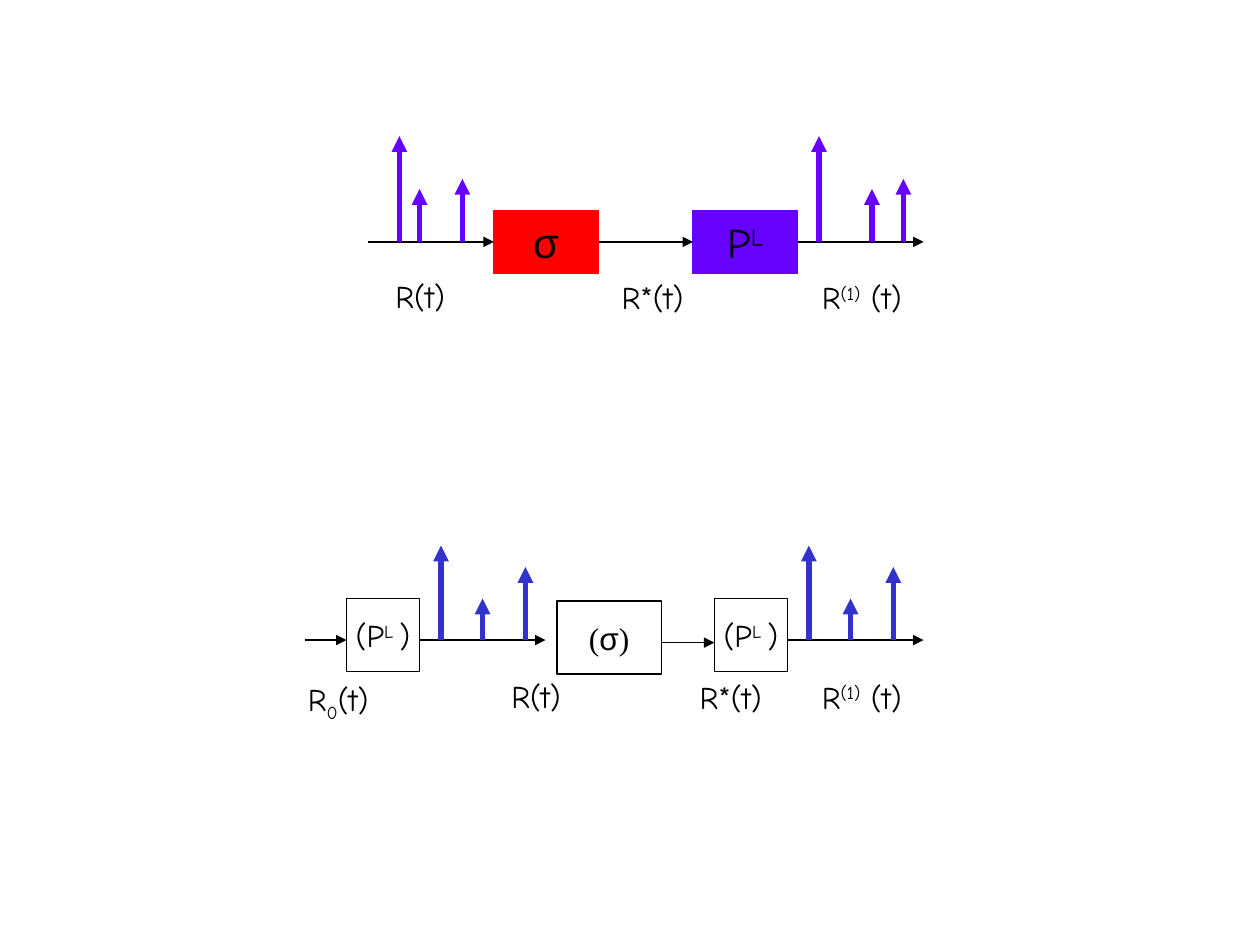
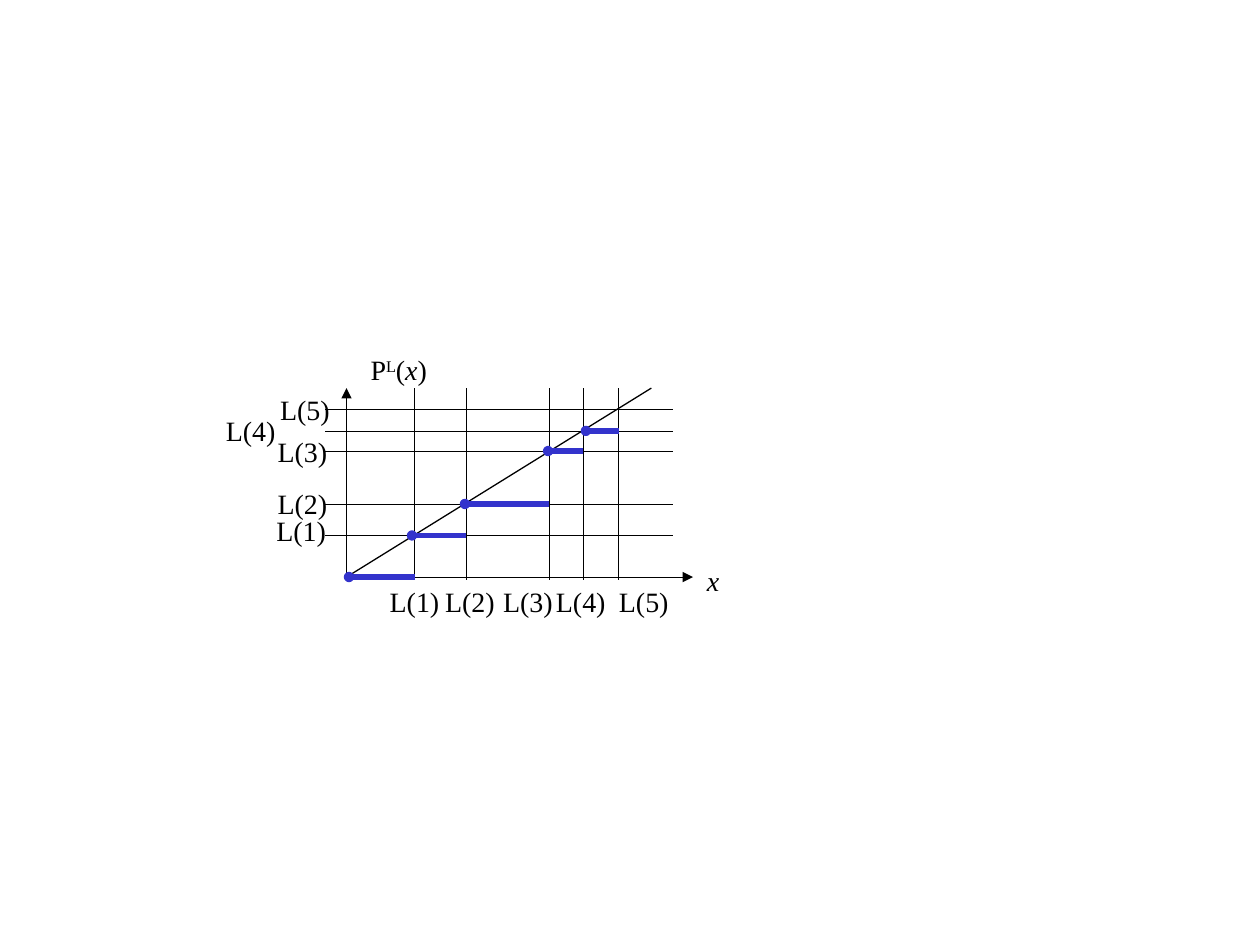
from dataclasses import dataclass
from itertools import pairwise
from typing import NamedTuple

from lxml import etree
from pptx import Presentation
from pptx.dml.color import RGBColor
from pptx.enum.dml import MSO_LINE
from pptx.enum.shapes import MSO_CONNECTOR, MSO_SHAPE
from pptx.enum.text import MSO_ANCHOR, MSO_AUTO_SIZE, PP_ALIGN
from pptx.oxml.ns import qn
from pptx.shapes.autoshape import Shape
from pptx.shapes.connector import Connector
from pptx.shapes.shapetree import GroupShapes, SlideShapes
from pptx.util import Inches, Pt

STRAIGHT = MSO_CONNECTOR.STRAIGHT
RECTANGLE = MSO_SHAPE.RECTANGLE
OVAL = MSO_SHAPE.OVAL
CENTER = PP_ALIGN.CENTER
TOP = MSO_ANCHOR.TOP
MIDDLE = MSO_ANCHOR.MIDDLE
FIT_TEXT = MSO_AUTO_SIZE.SHAPE_TO_FIT_TEXT
DOTTED = MSO_LINE.ROUND_DOT

BLACK, WHITE, RED = "000000", "FFFFFF", "FF0000"
VIOLET, BLUE = "6600FF", "3333CC"
HAND, SERIF, SANS = "Comic Neue", "Times New Roman", "Arial"
HAIRLINE, THIN, THICK = 0.25, 0.75, 3
LEFT_SIDE, RIGHT_SIDE = 1, 3
SUPERSCRIPT, SUBSCRIPT = 30000, -25000

Canvas = SlideShapes | GroupShapes
Point = tuple[float, float]


class Part(NamedTuple):
    text: str
    baseline: int = 0
    italic: bool = False
    font: str = ""


Formula = tuple[Part, ...]


@dataclass(frozen=True)
class Block:
    left: float
    top: float
    width: float
    height: float
    formula: Formula
    fill: str = WHITE
    outline: str = BLACK
    font: str = HAND
    size: int = 18


@dataclass(frozen=True)
class Label:
    left: float
    top: float
    width: float
    formula: Formula


@dataclass(frozen=True)
class Pulse:
    x: float
    height: float


@dataclass(frozen=True)
class Level:
    x: float
    y: float
    dot_left: float
    row_label: Point
    column_label_left: float


R_T: Formula = (Part("R(t)"),)
R_STAR: Formula = (Part("R*(t)"),)
R_ONE: Formula = (Part("R"), Part("(1)", SUPERSCRIPT), Part(" (t)"))
R_ZERO: Formula = (Part("R"), Part("0", SUBSCRIPT), Part("(t)"))
P_L: Formula = (Part("P"), Part("L", SUPERSCRIPT))
P_L_BRACKETED: Formula = (Part("(P"), Part("L ", SUPERSCRIPT), Part(")"))
SIGMA: Formula = (Part("σ"),)
SIGMA_BRACKETED: Formula = (Part("("), Part("σ", font=SANS), Part(")"))
P_L_OF_X: Formula = P_L + (Part("("), Part("x", italic=True), Part(")"))

SPIKING_LABELS = (
    Label(3, 2.15, 0.67, R_T),
    Label(4.78, 2.16, 0.8, R_STAR),
    Label(6.37, 2.16, 0.94, R_ONE),
)
SPIKING_PULSES = (
    Pulse(3.33, 0.42), Pulse(3.17, 0.84), Pulse(3.67, 0.5),
    Pulse(6.92, 0.42), Pulse(6.5, 0.84), Pulse(7.17, 0.5),
)
QUANTIZED_LABELS = (
    Label(3.92, 5.32, 0.67, R_T),
    Label(5.4, 5.33, 0.8, R_STAR),
    Label(6.37, 5.33, 0.94, R_ONE),
    Label(2.25, 5.35, 0.87, R_ZERO),
)
PULSE_TRAIN = (Pulse(0, 0.75), Pulse(0.33, 0.33), Pulse(0.67, 0.58))

ORIGIN: Point = (2.75, 4.58)
GRID_LEFT, GRID_RIGHT, GRID_TOP, GRID_BOTTOM = 2.58, 5.33, 3.08, 4.6
DOT = 0.04
LEVELS = (
    Level(3.29, 4.25, 3.25, (2.09, 4.02), 2.99),
    Level(3.7, 4, 3.67, (2.1, 3.81), 3.43),
    Level(4.36, 3.58, 4.33, (2.1, 3.4), 3.89),
    Level(4.63, 3.42, 4.63, (1.69, 3.23), 4.31),
    Level(4.91, 3.25, 4.9, (2.12, 3.06), 4.81),
)


def rgb(value: str) -> RGBColor:
    return RGBColor.from_string(value)


def write(shape: Shape, formula: Formula, font: str, size: int,
          anchor: MSO_ANCHOR, grows: bool) -> None:
    frame = shape.text_frame
    frame.word_wrap = False
    frame.vertical_anchor = anchor
    if grows:
        frame.auto_size = FIT_TEXT
    paragraph = frame.paragraphs[0]
    paragraph.alignment = CENTER
    paragraph.font.size = Pt(size)
    paragraph.font.color.rgb = rgb(BLACK)
    mixed = any(part.font for part in formula)
    if not mixed:
        paragraph.font.name = font
    for part in formula:
        run = paragraph.add_run()
        run.text = part.text
        if mixed:
            run.font.name = part.font or font
        if part.italic:
            run.font.italic = True
        if part.baseline:
            run.font._element.set("baseline", str(part.baseline))


def draw_line(canvas: Canvas, start: Point, end: Point, color: str = BLACK,
              width: float = THIN, arrow: bool = False,
              dotted: bool = False) -> Connector:
    line = canvas.add_connector(STRAIGHT, *map(Inches, start + end))
    line.line.color.rgb = rgb(color)
    line.line.width = Pt(width)
    if dotted:
        line.line.dash_style = DOTTED
    properties = line._element.spPr
    if arrow:
        outline = properties.find(qn("a:ln"))
        etree.SubElement(outline, qn("a:tailEnd")).set("type", "triangle")
    etree.SubElement(properties, qn("a:effectLst"))
    return line


def draw_block(canvas: Canvas, block: Block) -> Shape:
    box = canvas.add_shape(RECTANGLE, Inches(block.left), Inches(block.top),
                           Inches(block.width), Inches(block.height))
    box.shadow.inherit = False
    box.fill.solid()
    box.fill.fore_color.rgb = rgb(block.fill)
    box.line.color.rgb = rgb(block.outline)
    box.line.width = Pt(THIN)
    write(box, block.formula, block.font, block.size, MIDDLE, False)
    return box


def draw_label(canvas: Canvas, label: Label) -> None:
    box = canvas.add_shape(RECTANGLE, Inches(label.left), Inches(label.top),
                           Inches(label.width), Inches(0.41))
    box.shadow.inherit = False
    box.fill.background()
    box.line.color.rgb = rgb(WHITE)
    box.line.width = Pt(THIN)
    write(box, label.formula, HAND, 18, TOP, True)


def draw_pulse(canvas: Canvas, pulse: Pulse, base: float, color: str,
               offset: float = 0) -> None:
    x = offset + pulse.x
    draw_line(canvas, (x, base), (x, base - pulse.height), color, THICK, True)


def draw_axis_text(canvas: Canvas, left: float, top: float, formula: Formula,
                   width: float = 0.6) -> None:
    box = canvas.add_textbox(Inches(left), Inches(top), Inches(width), Inches(0.37))
    write(box, formula, SERIF, 16, MIDDLE, True)


def draw_dot(canvas: Canvas, left: float, y: float) -> None:
    dot = canvas.add_shape(OVAL, Inches(left), Inches(y - DOT / 2),
                           Inches(DOT), Inches(DOT))
    dot.shadow.inherit = False
    dot.fill.solid()
    dot.fill.fore_color.rgb = rgb(BLACK)
    dot.line.color.rgb = rgb(BLUE)
    dot.line.width = Pt(THICK)


def draw_quantized_chain(canvas: Canvas) -> None:
    axis = 5.08
    for label in QUANTIZED_LABELS:
        draw_label(canvas, label)
    for left in (2.75, 5.67):
        draw_block(canvas, Block(left, 4.75, 0.58, 0.58, P_L_BRACKETED))
    draw_block(canvas, Block(4.42, 4.77, 0.83, 0.58, SIGMA_BRACKETED, font=SERIF))
    for start, end, y in ((2.42, 2.75, axis), (3.33, 4.33, axis),
                          (5.25, 5.67, 5.1), (6.25, 7.33, axis)):
        draw_line(canvas, (start, y), (end, y), arrow=True)
    for offset in (6.42, 3.5):
        for pulse in PULSE_TRAIN:
            draw_pulse(canvas, pulse, axis, BLUE, offset)


def draw_spiking_chain(canvas: Canvas) -> None:
    axis = 1.92
    for label in SPIKING_LABELS:
        draw_label(canvas, label)
    projection = draw_block(canvas, Block(5.5, 1.67, 0.83, 0.5, P_L,
                                          VIOLET, VIOLET, size=24))
    sigma = draw_block(canvas, Block(3.92, 1.67, 0.83, 0.5, SIGMA,
                                     RED, RED, SANS, 24))
    incoming = draw_line(canvas, (2.92, axis), (3.92, axis), arrow=True)
    incoming.end_connect(sigma, LEFT_SIDE)
    between = draw_line(canvas, (4.75, axis), (5.5, axis), arrow=True)
    between.begin_connect(sigma, RIGHT_SIDE)
    between.end_connect(projection, LEFT_SIDE)
    outgoing = draw_line(canvas, (6.33, axis), (7.33, axis), arrow=True)
    outgoing.begin_connect(projection, RIGHT_SIDE)
    for pulse in SPIKING_PULSES:
        draw_pulse(canvas, pulse, axis, VIOLET)


def draw_staircase(canvas: Canvas) -> None:
    for axis_end in ((5.5, ORIGIN[1]), (ORIGIN[0], GRID_TOP)):
        draw_line(canvas, ORIGIN, axis_end, width=HAIRLINE, arrow=True)
    rows = canvas.add_group_shape().shapes
    columns = canvas.add_group_shape().shapes
    for level in LEVELS:
        draw_line(rows, (GRID_LEFT, level.y), (GRID_RIGHT, level.y),
                  width=HAIRLINE, dotted=True)
        draw_line(columns, (level.x, GRID_BOTTOM), (level.x, GRID_TOP),
                  width=HAIRLINE, dotted=True)
    draw_line(canvas, ORIGIN, (5.17, GRID_TOP))

    origin_level = Level(*ORIGIN, ORIGIN[0], ORIGIN, ORIGIN[0])
    steps = list(pairwise((origin_level,) + LEVELS))
    for level, following in steps:
        draw_line(canvas, (level.x, level.y), (following.x, level.y), BLUE, THICK)
    for level, _ in steps:
        draw_dot(canvas, level.dot_left, level.y)

    for number, level in enumerate(LEVELS, 1):
        name = (Part(f"L({number})"),)
        draw_axis_text(canvas, *level.row_label, name)
        draw_axis_text(canvas, level.column_label_left, 4.59, name)
    draw_axis_text(canvas, 5.51, 4.42, (Part("x", italic=True),), 0.3)
    draw_axis_text(canvas, 2.83, 2.75, P_L_OF_X, 0.67)


def main() -> None:
    deck = Presentation()
    deck.slide_width, deck.slide_height = Inches(10), Inches(7.5)
    blank = deck.slide_layouts[6]
    chains = deck.slides.add_slide(blank).shapes
    draw_quantized_chain(chains)
    draw_spiking_chain(chains.add_group_shape().shapes)
    draw_staircase(deck.slides.add_slide(blank).shapes)
    deck.save("out.pptx")


if __name__ == "__main__":
    main()
